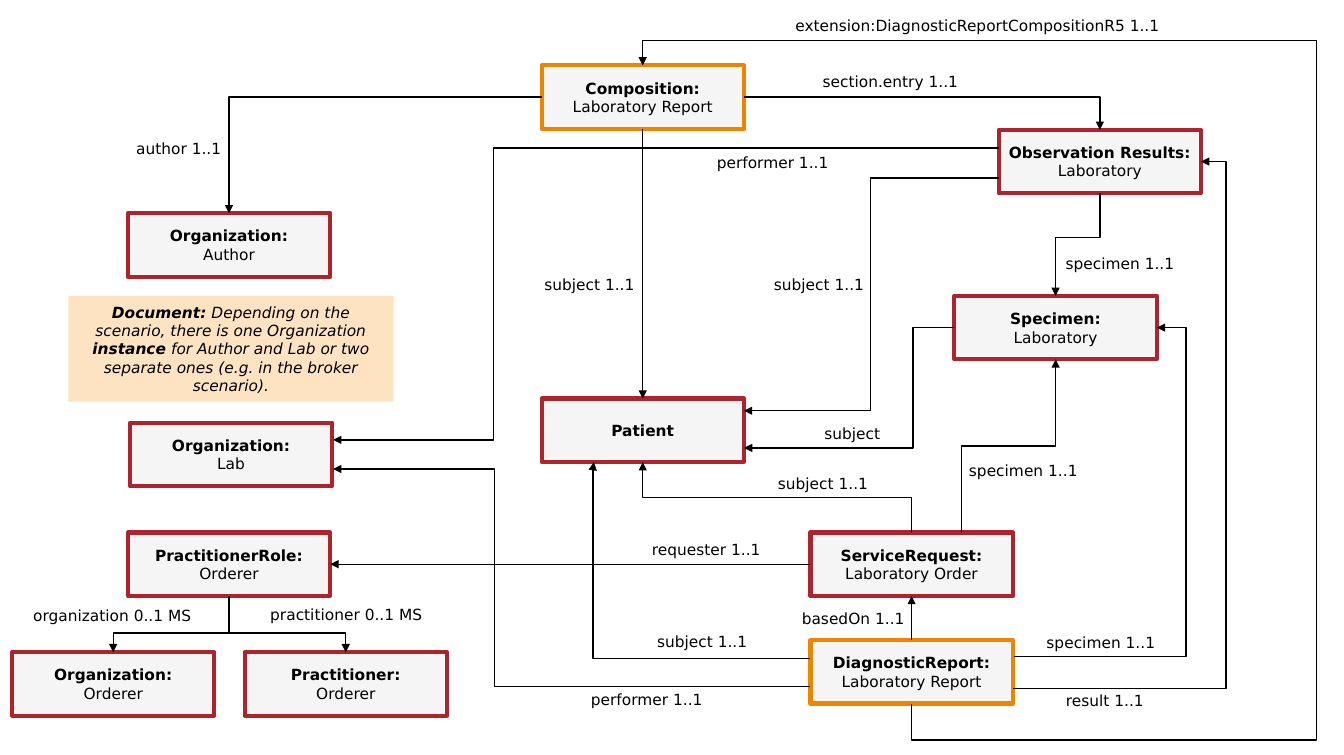
from dataclasses import dataclass

from lxml.etree import SubElement
from pptx import Presentation
from pptx.dml.color import RGBColor
from pptx.enum.shapes import MSO_CONNECTOR as Link, MSO_SHAPE as Preset
from pptx.enum.text import MSO_ANCHOR, MSO_AUTO_SIZE, PP_ALIGN
from pptx.oxml.ns import qn
from pptx.util import Inches, Pt


@dataclass(frozen=True)
class Theme:
    font: str = "DejaVu Sans"
    size: int = 11
    ink: str = "000000"
    fill: str = "F5F5F5"
    main: str = "EE8500"
    entity: str = "AE242E"
    note: str = "FEA335"
    note_alpha: int = 30
    border: float = 3
    wire: float = 1


THEME = Theme()
SLIDE = (13.35, 7.5)
BOX = (2.01, 0.63)
LABEL_HEIGHT = 0.19
TOP, LEFT, BOTTOM, RIGHT = range(4)

BOXES = {
    "report": ("DiagnosticReport:", "Laboratory Report", 8.05, 6.36, THEME.main),
    "composition": ("Composition:", "Laboratory Report", 5.38, 0.65, THEME.main),
    "patient": ("Patient", "", 5.38, 3.96, THEME.entity),
    "results": ("Observation Results:", "Laboratory", 9.92, 1.29, THEME.entity),
    "specimen": ("Specimen:", "Laboratory", 9.48, 2.94, THEME.entity),
    "request": ("ServiceRequest:", "Laboratory Order", 8.05, 5.29, THEME.entity),
    "role": ("PractitionerRole:", "Orderer", 1.27, 5.29, THEME.entity),
    "orderer_org": ("Organization:", "Orderer", 0.12, 6.48, THEME.entity),
    "practitioner": ("Practitioner:", "Orderer", 2.43, 6.48, THEME.entity),
    "author": ("Organization:", "Author", 1.27, 2.12, THEME.entity),
    "lab": ("Organization:", "Lab", 1.29, 4.2, THEME.entity),
}

NOTE_AREA = (0.68, 2.94, 3.23, 1.05)
NOTE = [
    ("Document:", True),
    (" Depending on the scenario, there is one Organization ", False),
    ("instance", True),
    (" for Author and Lab or two separate ones (e.g. in the broker scenario).", False),
]

LABELS = [
    ("extension:DiagnosticReportCompositionR5 1..1", 7.9, 0.16, 3.62),
    ("section.entry 1..1", 8.05, 0.72, 1.59),
    ("author 1..1", 1.18, 1.38, 1.19),
    ("performer 1..1", 7.08, 1.52, 1.19),
    ("subject 1..1", 5.26, 2.73, 1.19),
    ("subject 1..1", 7.54, 2.73, 1.19),
    ("specimen 1..1", 10.53, 2.52, 1.19),
    ("subject", 7.87, 4.21, 1.19),
    ("specimen 1..1", 9.57, 4.58, 1.19),
    ("subject 1..1", 7.58, 4.71, 1.19),
    ("requester 1..1", 6.42, 5.37, 1.19),
    ("basedOn 1..1", 7.88, 6.05, 1.19),
    ("practitioner 0..1 MS", 2.6, 6.01, 1.68),
    ("organization 0..1 MS", 0.27, 6.02, 1.69),
    ("subject 1..1", 6.38, 6.28, 1.19),
    ("specimen 1..1", 10.34, 6.29, 1.19),
    ("performer 1..1", 5.83, 6.86, 1.19),
    ("result 1..1", 10.38, 6.87, 1.19),
]

STRAIGHT = [
    (("composition", BOTTOM), ("patient", TOP)),
    (("report", TOP), ("request", BOTTOM)),
    (("request", LEFT), ("role", RIGHT)),
]

ELBOWS = [
    (("report", BOTTOM), "y", [7.35, 13.08, 0.4], ("composition", TOP)),
    ((8.05, 6.54), "x", [5.89], (5.9, 4.59)),
    (("composition", LEFT), "x", [], ("author", TOP)),
    (("composition", RIGHT), "x", [], ("results", TOP)),
    (("specimen", LEFT), "x", [9.07], (7.39, 4.45)),
    ((10.07, 6.52), "y", [6.52, 11.78], ("specimen", RIGHT)),
    ((10.07, 6.85), "y", [6.84, 12.18], ("results", RIGHT)),
    (("request", TOP), "y", [4.94], ("patient", BOTTOM)),
    ((9.92, 1.77), "x", [8.65], (7.39, 4.08)),
    (("results", BOTTOM), "y", [2.36], ("specimen", TOP)),
    ((9.92, 1.47), "x", [4.9], (3.31, 4.37)),
    ((9.55, 5.29), "y", [4.43], ("specimen", BOTTOM)),
    (("role", BOTTOM), "y", [6.29], ("practitioner", TOP)),
    (("role", BOTTOM), "y", [6.29], ("orderer_org", TOP)),
    ((8.05, 6.82), "x", [4.91], (3.31, 4.66)),
]


def color(value):
    return RGBColor.from_string(value)


def style(para):
    para.alignment = PP_ALIGN.CENTER
    for span in para.runs:
        span.font.name = THEME.font
        span.font.size = Pt(THEME.size)
        span.font.color.rgb = color(THEME.ink)


def add_panel(page, area, fill):
    panel = page.shapes.add_shape(Preset.RECTANGLE, *map(Inches, area))
    panel.shadow.inherit = False
    panel.fill.solid()
    panel.fill.fore_color.rgb = color(fill)
    panel.text_frame.vertical_anchor = MSO_ANCHOR.MIDDLE
    return panel


def add_box(page, title, detail, left, top, border):
    box = add_panel(page, (left, top, *BOX), THEME.fill)
    box.line.color.rgb = color(border)
    box.line.width = Pt(THEME.border)
    frame = box.text_frame
    frame.margin_left = frame.margin_right = 0
    para = frame.paragraphs[0]
    para.text = f"{title}\v{detail}" if detail else title
    style(para)
    para.runs[0].font.bold = True
    return box


def add_note(page):
    note = add_panel(page, NOTE_AREA, THEME.note)
    note.line.fill.background()
    tint = note.fill._xPr.find(qn("a:solidFill"))[0]
    SubElement(tint, qn("a:alpha"), val=str(THEME.note_alpha * 1000))
    para = note.text_frame.paragraphs[0]
    for text, bold in NOTE:
        span = para.add_run()
        span.text = text
        span.font.bold = bold
        span.font.italic = True
    style(para)


def add_label(page, text, left, top, width):
    label = page.shapes.add_textbox(*map(Inches, (left, top, width, LABEL_HEIGHT)))
    frame = label.text_frame
    frame.word_wrap = True
    frame.auto_size = MSO_AUTO_SIZE.SHAPE_TO_FIT_TEXT
    frame.margin_left = frame.margin_right = frame.margin_top = frame.margin_bottom = 0
    frame.text = text
    style(frame.paragraphs[0])


def locate(end):
    if end[0] not in BOXES:
        return end
    name, side = end
    left, top = BOXES[name][2:4]
    across, down = [(0.5, 0), (0, 0.5), (0.5, 1), (1, 0.5)][side]
    return left + across * BOX[0], top + down * BOX[1]


def add_arrow(page, boxes, kind, start, end):
    points = map(Inches, (*locate(start), *locate(end)))
    arrow = page.shapes.add_connector(kind, *points)
    arrow.line.color.rgb = color(THEME.ink)
    arrow.line.width = Pt(THEME.wire)
    props = arrow._element.spPr
    SubElement(props.find(qn("a:ln")), qn("a:tailEnd"), type="triangle")
    SubElement(props, qn("a:effectLst"))
    for place, join in ((start, arrow.begin_connect), (end, arrow.end_connect)):
        if place[0] in boxes:
            join(boxes[place[0]], place[1])
    return arrow


def add_elbow(page, boxes, start, axis, turns, end):
    """Route an elbow whose turns alternate between the two axes, first along axis."""
    arrow = add_arrow(page, boxes, Link.ELBOW, start, end)
    (x1, y1), (x2, y2) = locate(start), locate(end)
    dx, dy = x2 - x1, y2 - y1
    props = arrow._element.spPr
    ends = (x1, y1, x2, y2)
    if axis == "y":
        mid_x, mid_y = (x1 + x2) / 2, (y1 + y2) / 2
        ends = (mid_x - dy / 2, mid_y + dx / 2, mid_x + dy / 2, mid_y - dx / 2)
        props.find(qn("a:xfrm")).set("rot", str(90 * 60000))
    arrow.begin_x, arrow.begin_y, arrow.end_x, arrow.end_y = map(Inches, ends)

    geometry = props.find(qn("a:prstGeom"))
    geometry.set("prst", f"bentConnector{len(turns) + 2}")
    guides = geometry.find(qn("a:avLst"))
    for index, turn in enumerate(turns):
        vertical = (axis == "y") == (index % 2 == 0)
        origin, extent = (y1, dy) if vertical else (x1, dx)
        share = round((turn - origin) / extent * 100000)
        SubElement(guides, qn("a:gd"), name=f"adj{index + 1}", fmla=f"val {share}")


def main():
    deck = Presentation()
    deck.slide_width, deck.slide_height = map(Inches, SLIDE)
    page = deck.slides.add_slide(deck.slide_layouts[6])
    boxes = {name: add_box(page, *content) for name, content in BOXES.items()}
    add_note(page)
    for start, end in STRAIGHT:
        add_arrow(page, boxes, Link.STRAIGHT, start, end)
    for route in ELBOWS:
        add_elbow(page, boxes, *route)
    for label in LABELS:
        add_label(page, *label)
    deck.save("out.pptx")


if __name__ == "__main__":
    main()
